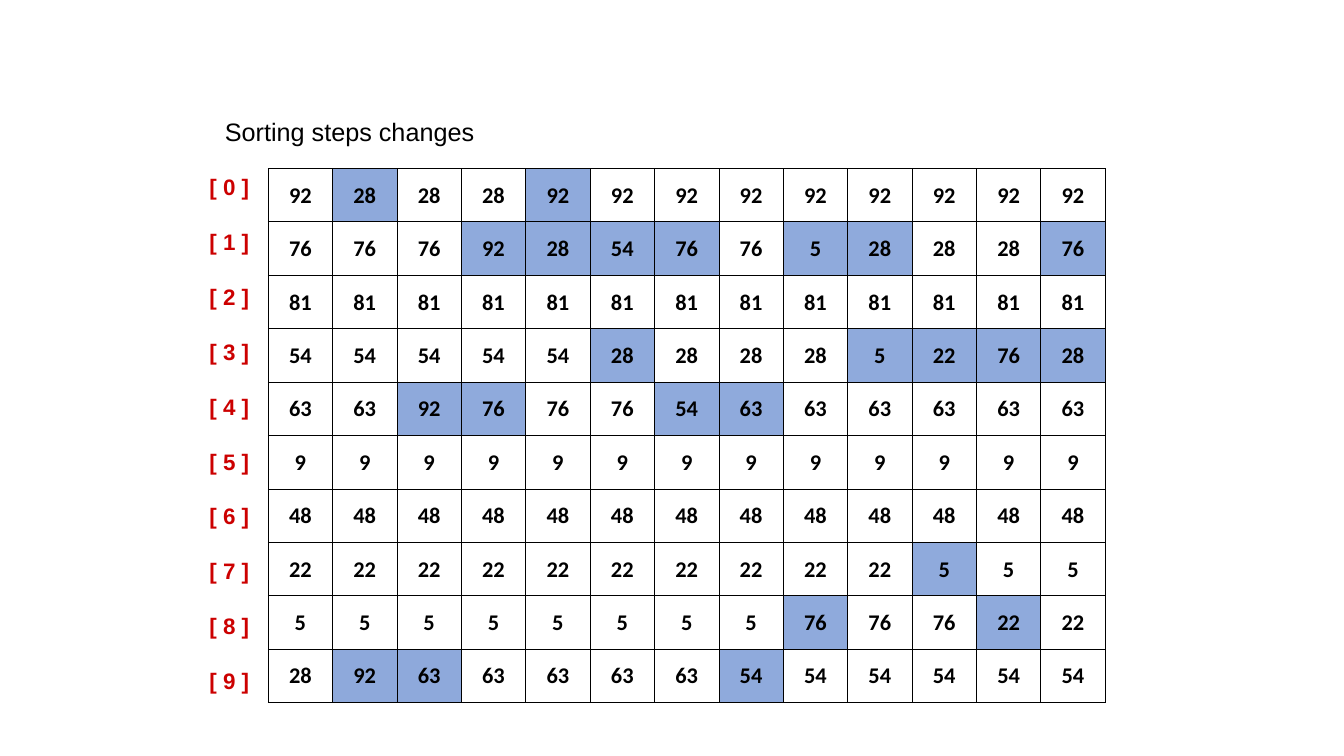
from pptx import Presentation, util as u
from pptx.dml import color
from pptx.enum import text
from pptx.oxml import parse_xml
from pptx.oxml.ns import nsdecls

WIDTH, HEIGHT = u.Inches(13.33), u.Inches(7.5)
START = [92, 76, 81, 54, 63, 9, 48, 22, 5, 28]
SWAPS = [(0, 9), (4, 9), (1, 4), (0, 1), (1, 3), (1, 4),
         (4, 9), (1, 8), (1, 3), (3, 7), (3, 8), (1, 3)]
BUILD_STEPS = 2
BUILD_FILL, SORT_FILL = "8EA9DB", "8FAADC"
HEADING = {"size": u.Pt(18), "name": "Arial", "bold": False}
INDEX = {"size": u.Pt(16), "name": "Arial", "bold": True}
VALUE = {"size": u.Pt(16), "name": "Calibri", "bold": True}
FRAME = {"margin_left": u.Inches(0.1), "margin_right": u.Inches(0.1),
         "margin_top": u.Inches(0.05), "margin_bottom": u.Inches(0.05),
         "vertical_anchor": text.MSO_ANCHOR.TOP,
         "auto_size": text.MSO_AUTO_SIZE.NONE}
CELL = {"margin_left": u.Inches(0.01), "margin_right": u.Inches(0.01),
        "margin_top": u.Inches(0.01), "margin_bottom": 0,
        "vertical_anchor": text.MSO_ANCHOR.MIDDLE}


def area(left, top, width, height):
    """Turn percentages of the slide into a box of lengths."""
    return (int(WIDTH * left / 100), int(HEIGHT * top / 100),
            int(WIDTH * width / 100), int(HEIGHT * height / 100))


def apply(target, values):
    """Set each attribute named in a dict of format values."""
    for name, value in values.items():
        setattr(target, name, value)


def paint(part, hex_colour):
    """Give a font colour or a solid fill its hex colour."""
    part.rgb = color.RGBColor.from_string(hex_colour)


def write(paragraph, words, style, hex_colour, align):
    """Put one formatted run into a paragraph."""
    paragraph.alignment = align
    run = paragraph.add_run()
    run.text = words
    apply(run.font, style)
    paint(run.font.color, hex_colour)


def border(cell, hex_colour, points):
    """Draw a thin line on all four sides of a cell."""
    for side in ("lnL", "lnR", "lnT", "lnB"):
        cell._tc.get_or_add_tcPr().append(parse_xml(
            f'<a:{side} {nsdecls("a")} w="{u.Pt(points)}"><a:solidFill>'
            f'<a:srgbClr val="{hex_colour}"/></a:solidFill></a:{side}>'))


def sorting_states():
    """List the array at the start and after each swap."""
    states = [START]
    for first, second in SWAPS:
        state = states[-1].copy()
        state[first], state[second] = state[second], state[first]
        states.append(state)
    return states


def add_heading(slide, box):
    """Place the slide title."""
    heading = slide.shapes.title
    heading.left, heading.top, heading.width, heading.height = box
    apply(heading.text_frame, FRAME)
    write(heading.text_frame.paragraphs[0], "Sorting steps changes",
          HEADING, "000000", text.PP_ALIGN.LEFT)


def add_indices(slide, box):
    """Place the column of array indices."""
    frame = slide.shapes.add_textbox(*box).text_frame
    apply(frame, FRAME)
    frame.word_wrap = False
    for index in range(len(START)):
        line = frame.add_paragraph() if index else frame.paragraphs[0]
        line.space_before = u.Pt(20 if index else 0)
        write(line, f"[ {index} ]", INDEX, "CC0000", text.PP_ALIGN.LEFT)


def add_states(slide, box):
    """Place one column per array state, shading the swapped values."""
    states = sorting_states()
    table = slide.shapes.add_table(len(START), len(states), *box).table
    apply(table, {"first_row": False, "horz_banding": False})
    for step, state in enumerate(states):
        for row, value in enumerate(state):
            cell = table.cell(row, step)
            apply(cell, CELL)
            write(cell.text_frame.paragraphs[0], str(value),
                  VALUE, "000000", text.PP_ALIGN.CENTER)
            border(cell, "000000", 0.5)
            if step and value != states[step - 1][row]:
                cell.fill.solid()
                paint(cell.fill.fore_color,
                      BUILD_FILL if step <= BUILD_STEPS else SORT_FILL)
            else:
                cell.fill.background()


def main():
    """Build and save the presentation."""
    deck = Presentation()
    deck.slide_width, deck.slide_height = WIDTH, HEIGHT
    slide = deck.slides.add_slide(deck.slide_layouts[5])
    add_indices(slide, area(14.85, 22.27, 4.5, 69.07))
    add_heading(slide, area(15.98, 14.67, 37.5, 5.33))
    add_states(slide, area(19.95, 22.27, 62.3, 70.67))
    deck.save("out.pptx")


main()
